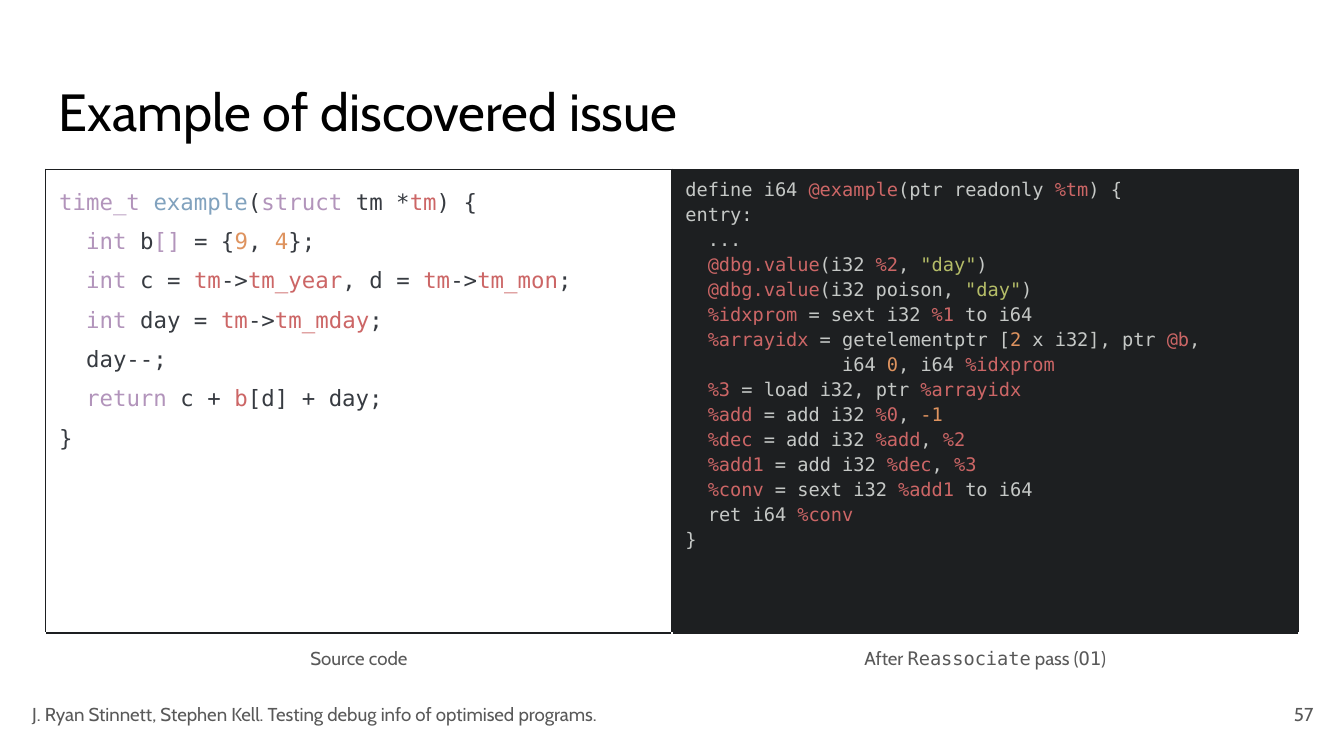
from lxml import etree
from pptx import Presentation
from pptx.dml.color import RGBColor
from pptx.enum.text import MSO_ANCHOR, PP_ALIGN
from pptx.oxml.ns import qn
from pptx.util import Pt

PX = 4572  # EMU, 200 px to the inch
TOP, MIDDLE = MSO_ANCHOR.TOP, MSO_ANCHOR.MIDDLE
LEFT, CENTER, RIGHT = PP_ALIGN.LEFT, PP_ALIGN.CENTER, PP_ALIGN.RIGHT
SANS, MONO = "Cabin", "DejaVu Sans Mono"
BLACK, WHITE, GREY, DARK = "000000", "FFFFFF", "595959", "1D1F21"
INK, PALE = "373B41", "C5C8C6"
SYNTAX = {"p": "B294BB", "b": "81A2BE", "r": "CC6666", "o": "DE935F", "g": "B5BD68"}

# Between bars: one letter for the syntax colour, then the coloured text.
C_SOURCE = """\
|ptime_t| |bexample|(|pstruct| tm *|rtm|) {
  |pint| b|p[]| = {|o9|, |o4|};
  |pint| c = |rtm|->|rtm_year|, d = |rtm|->|rtm_mon|;
  |pint| day = |rtm|->|rtm_mday|;
  day--;
  |preturn| c + |rb|[d] + day;
}"""
LLVM_IR = """\
define i64 |r@example|(ptr readonly |r%tm|) {
entry:
  ...
  |r@dbg.value|(i32 |r%2|, |g"day"|)
  |r@dbg.value|(i32 poison, |g"day"|)
  |r%idxprom| = sext i32 |r%1| to i64
  |r%arrayidx| = getelementptr [|o2| x i32], ptr |r@b|,
              i64 |o0|, i64 |r%idxprom|
  |r%3| = load i32, ptr |r%arrayidx|
  |r%add| = add i32 |r%0|, |o-1|
  |r%dec| = add i32 |r%add|, |r%2|
  |r%add1| = add i32 |r%dec|, |r%3|
  |r%conv| = sext i32 |r%add1| to i64
  ret i64 |r%conv|
}"""


def rgb(color):
    return RGBColor.from_string(color)


def add_span(para, text, size, font, color):
    span = para.add_run()
    span.text = text
    for name, value in {"size": Pt(size), "name": font}.items():
        setattr(span.font, name, value)
    span.font.color.rgb = rgb(color)


def add_label(page, box, text, size, color, align=LEFT, anchor=MIDDLE):
    frame = page.shapes.add_textbox(*(value * PX for value in box)).text_frame
    margins = {f"margin_{side}": 20 * PX for side in ("left", "top", "right", "bottom")}
    for name, value in {"word_wrap": True, "vertical_anchor": anchor, **margins}.items():
        setattr(frame, name, value)
    para = frame.paragraphs[0]
    para.alignment = align
    add_span(para, text, size, SANS, color)


def set_borders(cell, colors):
    """Draw the left, right, top and bottom lines of a cell in the four colours."""
    props = cell._tc.get_or_add_tcPr()
    for side, color in zip("LRTB", colors):
        line = etree.SubElement(props, qn(f"a:ln{side}"), w=str(Pt(0.75)))
        fill = etree.SubElement(line, qn("a:solidFill"))
        etree.SubElement(fill, qn("a:srgbClr"), val=color)


def format_cell(cell, borders, fill, anchor):
    set_borders(cell, borders)
    cell.fill.solid()
    cell.fill.fore_color.rgb = rgb(fill)
    margins = {"margin_left": 20, "margin_right": 20, "margin_top": 10, "margin_bottom": 10}
    for name, value in margins.items():
        setattr(cell, name, value * PX)
    cell.vertical_anchor = anchor


def fill_code(cell, code, size, spacing, color, fill):
    format_cell(cell, [DARK] * 4, fill, TOP)
    frame = cell.text_frame
    for row, line in enumerate(code.split("\n")):
        para = frame.add_paragraph() if row else frame.paragraphs[0]
        para.line_spacing = spacing
        for index, part in enumerate(line.split("|")):
            if index % 2:
                add_span(para, part[1:], size, MONO, SYNTAX[part[0]])
            elif part:
                add_span(para, part, size, MONO, color)


def fill_caption(cell, parts):
    """Set a centred caption whose parts alternate between sans and mono."""
    format_cell(cell, [WHITE, WHITE, DARK, WHITE], WHITE, MIDDLE)
    para = cell.text_frame.paragraphs[0]
    para.alignment = CENTER
    for index, part in enumerate(parts):
        add_span(para, part, 10, MONO if index % 2 else SANS, GREY)


def add_comparison(page, box):
    left, top, width, height = box
    caption_height = 78
    table = page.shapes.add_table(2, 2, left * PX, top * PX, width * PX, height * PX).table
    for name in ("first_row", "horz_banding"):
        setattr(table, name, False)
    for column in table.columns:
        column.width = width * PX // 2
    table.rows[0].height = (height - caption_height) * PX
    table.rows[1].height = caption_height * PX
    fill_code(table.cell(0, 0), C_SOURCE, 12, 1.5, INK, WHITE)
    fill_code(table.cell(0, 1), LLVM_IR, 10, 1.15, PALE, DARK)
    fill_caption(table.cell(1, 0), ["Source code"])
    fill_caption(table.cell(1, 1), ["After ", "Reassociate", " pass (", "O1", ")"])


def add_footer(page, box):
    left, top, width, height = box
    number_width = 120
    add_label(page, (left, top, 1744, height),
              "J. Ryan Stinnett, Stephen Kell. Testing debug info of optimised programs.",
              10, GREY)
    add_label(page, (left + width - number_width, top, number_width, height),
              "57", 10, GREY, RIGHT)


def main():
    deck = Presentation()
    deck.slide_width, deck.slide_height = 2000 * PX, 1125 * PX
    page = deck.slides.add_slide(deck.slide_layouts[6])
    add_label(page, (68, 98, 1864, 126), "Example of discovered issue", 28, BLACK, anchor=TOP)
    add_comparison(page, (68, 252, 1864, 768))
    add_footer(page, (28, 1020, 1946, 86))
    deck.save("out.pptx")


if __name__ == "__main__":
    main()
